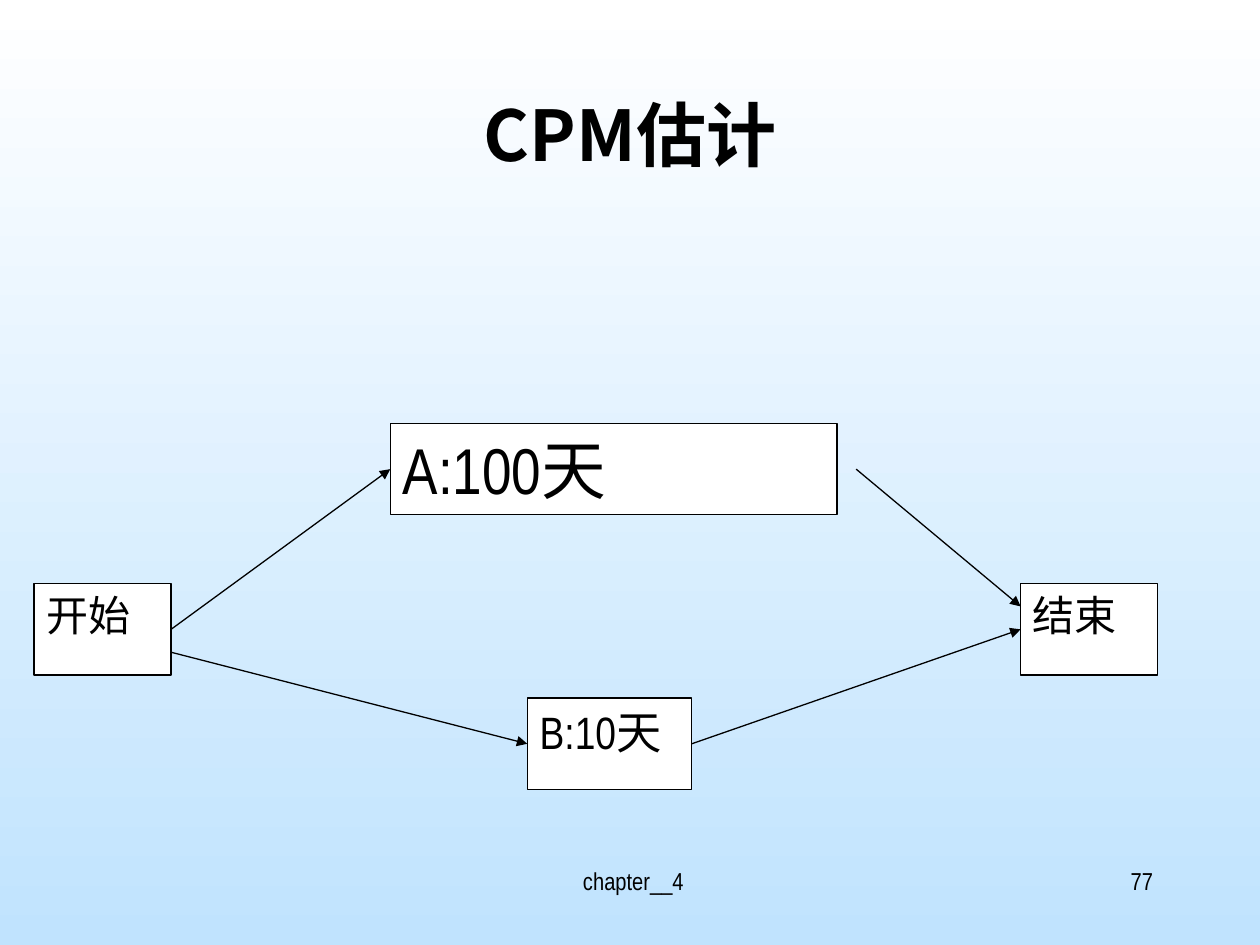
"""Build the CPM estimate slide with its network of two parallel activities."""
import pptx
import pptx.dml.color
import pptx.enum.shapes
import pptx.enum.text
import pptx.oxml.ns
import pptx.util
from lxml import etree

BLACK = pptx.dml.color.RGBColor(0x00, 0x00, 0x00)
WHITE = pptx.dml.color.RGBColor(0xFF, 0xFF, 0xFF)
SKY = pptx.dml.color.RGBColor(0xC0, 0xE3, 0xFE)
CJK, NARROW, SERIF = "Noto Sans CJK SC", "Arial Narrow", "Times New Roman"
ALIGN = pptx.enum.text.PP_ALIGN
WIDTH, HEIGHT = pptx.util.Inches(10), pptx.util.Inches(7.5)
LEFT, TOP = pptx.util.Inches(0.27), pptx.util.Inches(3.36)
COLUMN, ROW = pptx.util.Inches(7.83) / 36, pptx.util.Inches(2.18) / 12
TOP_SIDE, LEFT_SIDE, BOTTOM_SIDE, RIGHT_SIDE = range(4)


def grid_point(column, row):
    return round(LEFT + column * COLUMN), round(TOP + row * ROW)


def paint_background(page):
    fill = page.background.fill
    fill.gradient()
    fill.gradient_angle = 270
    for stop, color in zip(fill.gradient_stops, (WHITE, SKY)):
        stop.color.rgb = color


def write_text(box, text, size, font, align, bold=False):
    frame = box.text_frame
    frame.text = text
    frame.word_wrap = True
    frame.vertical_anchor = pptx.enum.text.MSO_ANCHOR.TOP
    para = frame.paragraphs[0]
    para.alignment = align
    for span in para.runs:
        span.font.name = font
        span.font.size = pptx.util.Pt(size)
        span.font.bold = bold
        span.font.color.rgb = BLACK
        east_asian = etree.Element(pptx.oxml.ns.qn("a:ea"), typeface=CJK)
        span.font._element.find(pptx.oxml.ns.qn("a:latin")).addnext(east_asian)


def add_label(page, shares, text, size, font, align, bold=False):
    left, top, width, height = shares
    box = page.shapes.add_textbox(
        round(left * WIDTH), round(top * HEIGHT), round(width * WIDTH), round(height * HEIGHT))
    write_text(box, text, size, font, align, bold)


def add_activity(page, column, row, columns, text, size, font):
    box = page.shapes.add_shape(
        pptx.enum.shapes.MSO_SHAPE.RECTANGLE, *grid_point(column, row),
        round(columns * COLUMN), round(4 * ROW))
    box.shadow.inherit = False
    box.fill.solid()
    box.fill.fore_color.rgb = WHITE
    box.line.color.rgb = BLACK
    box.line.width = pptx.util.Pt(0.75)
    write_text(box, text, size, font, ALIGN.JUSTIFY)
    return box


def add_arrow(page, begin, end, source=None, target=None):
    arrow = page.shapes.add_connector(
        pptx.enum.shapes.MSO_CONNECTOR.STRAIGHT, *grid_point(*begin), *grid_point(*end))
    if source is not None:
        arrow.begin_connect(source, RIGHT_SIDE)
    if target is not None:
        arrow.end_connect(target, LEFT_SIDE)
    arrow.line.color.rgb = BLACK
    arrow.line.width = pptx.util.Pt(0.75)
    etree.SubElement(arrow.line._get_or_add_ln(), pptx.oxml.ns.qn("a:tailEnd"), type="triangle")
    etree.SubElement(arrow._element.spPr, pptx.oxml.ns.qn("a:effectLst"))


def main():
    deck = pptx.Presentation()
    deck.slide_width, deck.slide_height = WIDTH, HEIGHT
    page = deck.slides.add_slide(deck.slide_layouts[6])
    paint_background(page)

    add_label(page, (0.342, 0.91, 0.317, 0.07), " chapter__4", 14, NARROW, ALIGN.CENTER)
    add_label(page, (0.717, 0.91, 0.208, 0.07), "77", 14, NARROW, ALIGN.RIGHT)
    add_label(page, (0.075, 0.09, 0.85, 0.17), "CPM估计", 40, CJK, ALIGN.CENTER, bold=True)

    start = add_activity(page, 0, 7, 5, "开始", 24, SERIF)
    long_task = add_activity(page, 13, 0, 16.3, "A:100天", 37, NARROW)
    short_task = add_activity(page, 18, 12, 6, "B:10天", 25.9, NARROW)
    finish = add_activity(page, 36, 7, 5, "结束", 24, SERIF)

    add_arrow(page, (5, 10), (18, 14), target=short_task)
    add_arrow(page, (5, 9), (13, 2), start, long_task)
    add_arrow(page, (24, 14), (36, 9), short_task, finish)
    add_arrow(page, (30, 2), (36, 8))

    deck.save("out.pptx")


if __name__ == "__main__":
    main()
